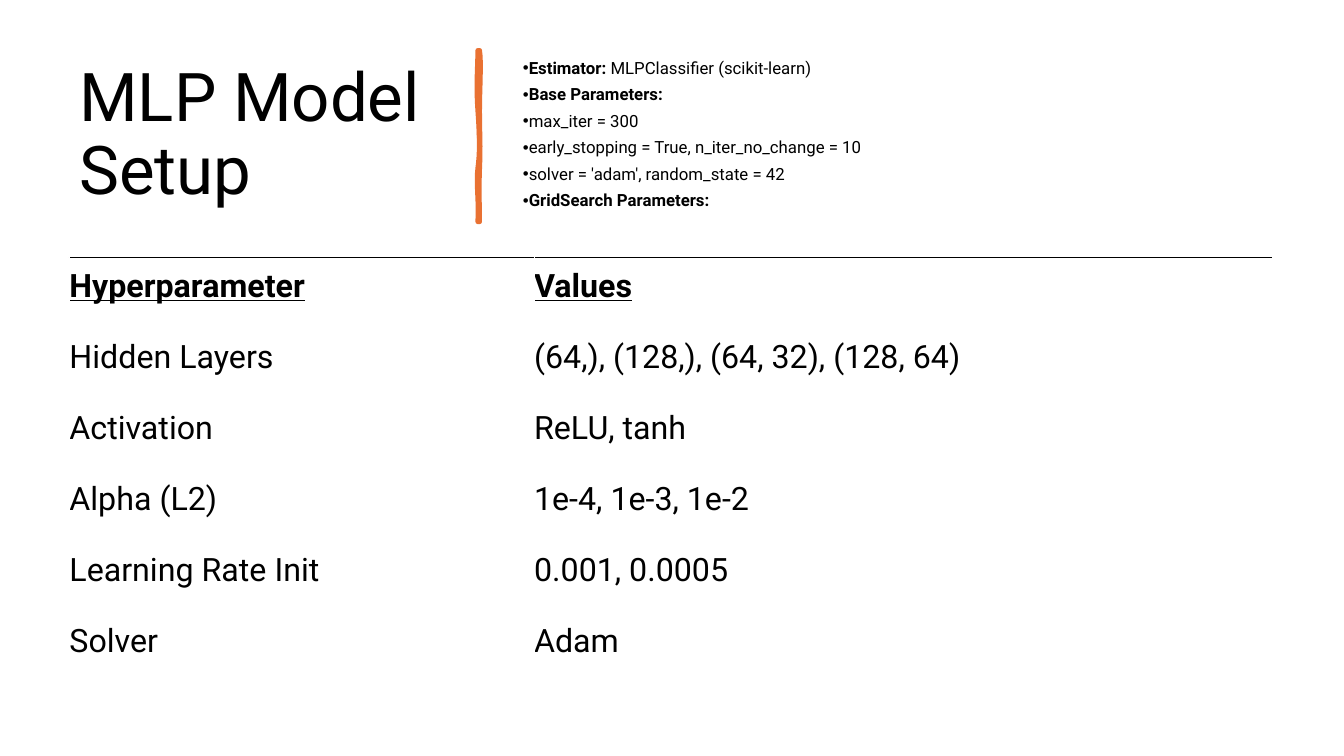
from lxml.etree import SubElement
from pptx import Presentation
from pptx.dml.color import RGBColor
from pptx.enum.text import MSO_ANCHOR
from pptx.oxml import parse_xml
from pptx.oxml.ns import nsdecls, qn
from pptx.util import Cm, Pt

FONT, BLACK, ORANGE = "Roboto", "000000", "E97132"
TITLE = "MLP Model Setup"
SETUP = [
    [("Estimator: ", True), ("MLPClassifier (scikit-learn)", False)],
    [("Base Parameters:", True)],
    [("max_iter = 300", False)],
    [("early_stopping = True, n_iter_no_change = 10", False)],
    [("solver = 'adam', random_state = 42", False)],
    [("GridSearch Parameters:", True)],
]
GRID = [
    ("Hyperparameter", "Values"),
    ("Hidden Layers", "(64,), (128,), (64, 32), (128, 64)"),
    ("Activation", "ReLU, tanh"),
    ("Alpha (L2)", "1e-4, 1e-3, 1e-2"),
    ("Learning Rate Init", "0.001, 0.0005"),
    ("Solver", "Adam"),
]
COLUMNS, ROW_HEIGHT = (11.71, 18.62), 1.79
LEFT, TOP = 1.75, 1.4

STROKE_START = (12.09, 1.27)
STROKE_EDGE = [
    [(12.14, 1.57), (12.09, 2.24), (12.09, 2.79)],
    [(12.09, 3.35), (12.12, 3.66), (12.09, 4.27)],
    [(12.07, 4.9), (12.09, 5.05), (12.09, 5.59)],
    [(12.07, 5.59), (12.07, 5.59), (12.04, 5.59)],
    [(12.07, 4.98), (11.99, 4.65), (12.04, 4.24)],
    [(12.09, 3.84), (12.09, 3.51), (12.04, 2.79)],
    [(11.99, 2.11), (12.04, 1.7), (12.04, 1.27)],
]
STROKE_BODY = [
    [(12.09, 1.96), (12.01, 2.29), (12.09, 2.67)],
    [(12.17, 3.05), (12.14, 3.53), (12.09, 3.99)],
    [(12.04, 4.42), (12.07, 4.8), (12.09, 5.59)],
    [(12.07, 5.59), (12.07, 5.59), (12.04, 5.59)],
    [(12.07, 4.98), (12.04, 4.9), (12.04, 4.24)],
    [(12.04, 3.56), (11.99, 3.45), (12.04, 2.72)],
    [(12.09, 1.96), (12.07, 1.65), (12.04, 1.27)],
]


def color(hex_code):
    """Return the colour for a hex string."""
    return RGBColor.from_string(hex_code)


def style(r, size, bold=False, underline=False):
    """Set the font of a run."""
    r.font.name, r.font.size, r.font.bold = FONT, Pt(size), bold
    r.font.underline = underline
    r.font.color.rgb = color(BLACK)


def add_text(s, left, top, width, height):
    """Add a wrapped, vertically centred text box and return its frame."""
    box = s.shapes.add_textbox(Cm(left), Cm(top), Cm(width), Cm(height))
    tf = box.text_frame
    tf.word_wrap, tf.vertical_anchor = True, MSO_ANCHOR.MIDDLE
    return tf


def add_bullet(p):
    """Give a paragraph a hanging round bullet."""
    pPr = p._p.get_or_add_pPr()
    pPr.set("marL", "0")
    pPr.set("indent", str(-Cm(0.64)))
    SubElement(pPr, qn("a:buFont")).set("typeface", "Arial")
    SubElement(pPr, qn("a:buChar")).set("char", "•")


def curve_points(start, curves, steps=8):
    """Sample a chain of cubic curves as points in EMU."""
    points = []
    for c1, c2, end in curves:
        for t in (i / steps for i in range(1, steps + 1)):
            u = 1 - t
            points.append(tuple(
                Cm(u**3 * a + 3 * u * u * t * b + 3 * u * t * t * c + t**3 * d)
                for a, b, c, d in zip(start, c1, c2, end)))
        start = end
    return points


def add_stroke(s, curves):
    """Add one closed outline of the hand-drawn divider."""
    x, y = STROKE_START
    builder = s.shapes.build_freeform(Cm(x), Cm(y))
    builder.add_line_segments(curve_points(STROKE_START, curves), close=True)
    sp = builder.convert_to_shape()
    sp.shadow.inherit = False
    return sp


def add_grid(s):
    """Add the hyperparameter table with a rule along its top."""
    frame = s.shapes.add_table(len(GRID), len(COLUMNS), Cm(LEFT), Cm(6.48),
                               Cm(sum(COLUMNS)), Cm(ROW_HEIGHT * len(GRID)))
    table = frame.table
    table.first_row = table.horz_banding = False
    for column, width in zip(table.columns, COLUMNS):
        column.width = Cm(width)
    for i, values in enumerate(GRID):
        table.rows[i].height = Cm(ROW_HEIGHT)
        for j, value in enumerate(values):
            cell = table.cell(i, j)
            cell.text_frame.text = value
            style(cell.text_frame.paragraphs[0].runs[0], 23, i == 0, i == 0)
            cell.vertical_anchor = MSO_ANCHOR.MIDDLE
            cell.margin_left, cell.margin_right = Cm(0), Cm(0.64)
            cell.margin_top, cell.margin_bottom = Cm(0.15), Cm(0.48)
            cell.fill.background()
            if i == 0:
                cell._tc.get_or_add_tcPr().insert(0, parse_xml(
                    f'<a:lnT {nsdecls("a")} w="{Pt(0.75)}"><a:solidFill>'
                    f'<a:srgbClr val="{BLACK}"/></a:solidFill></a:lnT>'))


def main():
    """Build the slide and save it."""
    prs = Presentation()
    prs.slide_width, prs.slide_height = Cm(33.87), Cm(19.05)
    s = prs.slides.add_slide(prs.slide_layouts[6])

    tf = add_text(s, LEFT, TOP, 9.5, 4.06)
    tf.text = TITLE
    tf.paragraphs[0].line_spacing = 0.9
    style(tf.paragraphs[0].runs[0], 48)

    edge = add_stroke(s, STROKE_EDGE)
    edge.fill.background()
    edge.line.color.rgb, edge.line.width = color(ORANGE), Pt(3.25)
    body = add_stroke(s, STROKE_BODY)
    body.fill.solid()
    body.fill.fore_color.rgb = color(ORANGE)
    body.line.fill.background()

    tf = add_text(s, 12.93, TOP, 19.15, 4.01)
    for i, parts in enumerate(SETUP):
        p = tf.add_paragraph() if i else tf.paragraphs[0]
        p.line_spacing, p.space_after = 0.9, Pt(6)
        add_bullet(p)
        for text, bold in parts:
            r = p.add_run()
            r.text = text
            style(r, 12, bold)

    add_grid(s)
    prs.save("out.pptx")


if __name__ == "__main__":
    main()
